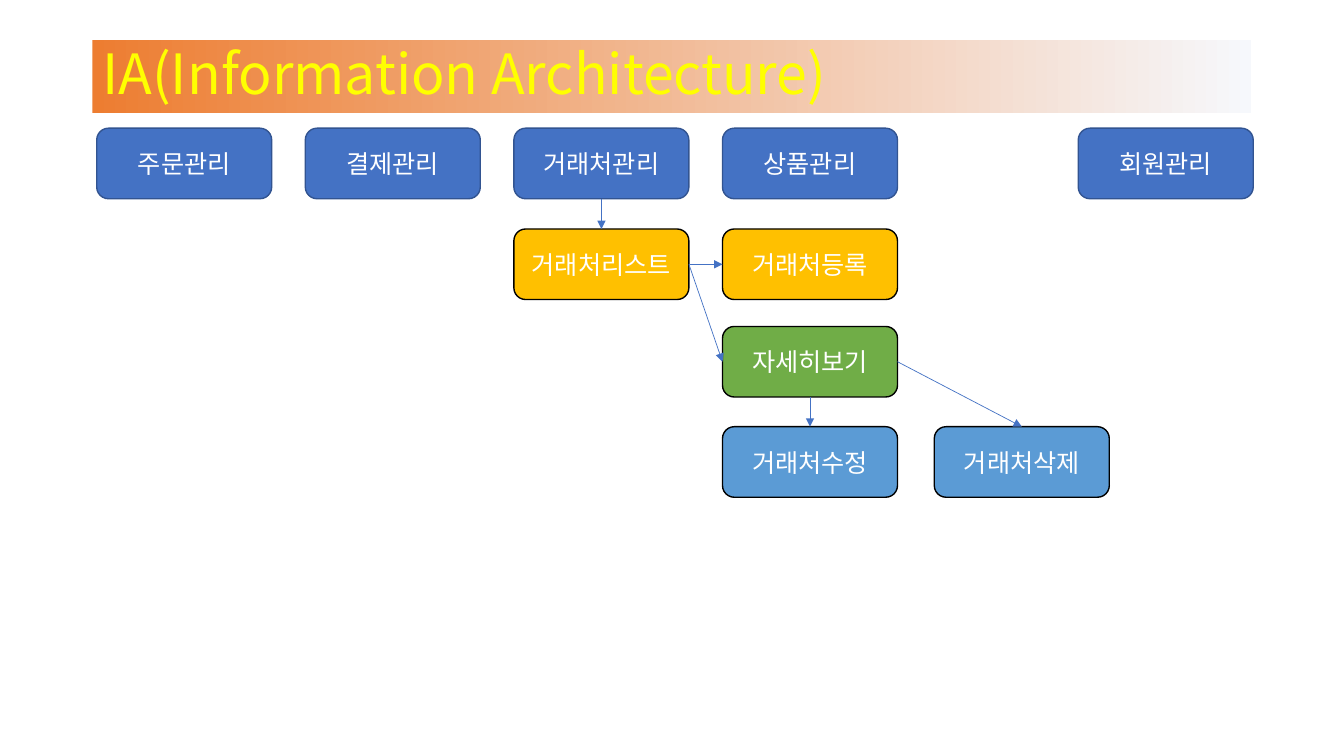
from dataclasses import dataclass

from lxml import etree
from pptx import Presentation
from pptx.dml.color import RGBColor
from pptx.enum.shapes import MSO_CONNECTOR, MSO_SHAPE
from pptx.enum.text import MSO_ANCHOR, PP_ALIGN
from pptx.oxml.ns import qn
from pptx.shapes.autoshape import Shape
from pptx.slide import Slide
from pptx.util import Pt

RECT, ROUND = MSO_SHAPE.RECTANGLE, MSO_SHAPE.ROUNDED_RECTANGLE
LINE = MSO_CONNECTOR.STRAIGHT
LEFT, CENTER = PP_ALIGN.LEFT, PP_ALIGN.CENTER
MIDDLE = MSO_ANCHOR.MIDDLE
TOP_SIDE, LEFT_SIDE, BOTTOM_SIDE, RIGHT_SIDE = range(4)

FONT = "Noto Sans CJK KR"
COLORS = {
    "menu": "4472C4", "edge": "325491", "list": "FFC000", "view": "70AD47",
    "edit": "5B9BD5", "black": "000000", "white": "FFFFFF",
    "title": "FFFF00", "start": "ED7D31", "end": "F6F8FC",
}
BOX_W, BOX_H = 125, 50.4
COLS = [69.1 + 149 * i for i in range(4)]
DROP_X, USER_X = 667.4, 770.2
MENU_Y, LIST_Y, VIEW_Y, EDIT_Y = 91.6, 163.6, 233.2, 304.8


@dataclass
class Box:
    """A rounded node of the site map."""
    text: str
    left: float
    top: float
    fill: str
    edge: str = "black"


@dataclass
class Link:
    """An arrow from a side of one node to a side of another."""
    tail: str
    out: int
    head: str
    into: int


MENUS = ["주문관리", "결제관리", "거래처관리", "상품관리", "회원관리"]
BOXES = [Box(text, left, MENU_Y, "menu", "edge")
         for text, left in zip(MENUS, COLS + [USER_X])] + [
    Box("거래처리스트", COLS[2], LIST_Y, "list"),
    Box("거래처등록", COLS[3], LIST_Y, "list"),
    Box("자세히보기", COLS[3], VIEW_Y, "view"),
    Box("거래처수정", COLS[3], EDIT_Y, "edit"),
    Box("거래처삭제", DROP_X, EDIT_Y, "edit"),
]
LINKS = [
    Link("거래처관리", BOTTOM_SIDE, "거래처리스트", TOP_SIDE),
    Link("거래처리스트", RIGHT_SIDE, "거래처등록", LEFT_SIDE),
    Link("거래처리스트", RIGHT_SIDE, "자세히보기", LEFT_SIDE),
    Link("자세히보기", BOTTOM_SIDE, "거래처수정", TOP_SIDE),
    Link("자세히보기", RIGHT_SIDE, "거래처삭제", TOP_SIDE),
]


def rgb(name: str) -> RGBColor:
    """Look up a named colour."""
    return RGBColor.from_string(COLORS[name])


def write(shape: Shape, text: str, *, size: float = 18, color: str = "white",
          align: PP_ALIGN = CENTER, space: float = 1) -> None:
    """Put one formatted paragraph in a shape."""
    frame = shape.text_frame
    frame.word_wrap = True
    frame.vertical_anchor = MIDDLE
    para = frame.paragraphs[0]
    para.alignment, para.line_spacing = align, space
    run = para.add_run()
    run.text = text
    run.font.size, run.font.name = Pt(size), FONT
    run.font.color.rgb = rgb(color)
    etree.SubElement(run.font._element, qn("a:ea"), typeface=FONT)


def draw_title(slide: Slide) -> None:
    """Draw the title on its fading band."""
    band = slide.shapes.add_shape(RECT, Pt(66), Pt(28.8), Pt(828), Pt(52))
    band.shadow.inherit = False
    band.line.fill.background()
    band.fill.gradient()
    band.fill.gradient_angle = 0
    for stop, name in zip(band.fill.gradient_stops, ("start", "end")):
        stop.color.rgb = rgb(name)
    write(band, "IA(Information Architecture)", size=39.6, color="title",
          align=LEFT, space=0.9)


def draw_box(slide: Slide, box: Box) -> Shape:
    """Draw one node and return its shape."""
    shape = slide.shapes.add_shape(
        ROUND, Pt(box.left), Pt(box.top), Pt(BOX_W), Pt(BOX_H))
    shape.shadow.inherit = False
    shape.fill.solid()
    shape.fill.fore_color.rgb = rgb(box.fill)
    shape.line.color.rgb = rgb(box.edge)
    shape.line.width = Pt(1)
    write(shape, box.text)
    return shape


def draw_link(slide: Slide, link: Link, nodes: dict[str, Shape]) -> None:
    """Join two nodes with an arrow."""
    arrow = slide.shapes.add_connector(LINE, 0, 0, 0, 0)
    arrow.begin_connect(nodes[link.tail], link.out)
    arrow.end_connect(nodes[link.head], link.into)
    arrow.line.color.rgb = rgb("menu")
    arrow.line.width = Pt(0.5)
    etree.SubElement(arrow.line._get_or_add_ln(), qn("a:tailEnd"),
                     type="triangle")
    etree.SubElement(arrow._element.spPr, qn("a:effectLst"))


def main() -> None:
    """Build and save the slide."""
    deck = Presentation()
    deck.slide_width, deck.slide_height = Pt(960), Pt(540)
    slide = deck.slides.add_slide(deck.slide_layouts[6])
    draw_title(slide)
    nodes = {box.text: draw_box(slide, box) for box in BOXES}
    for link in LINKS:
        draw_link(slide, link, nodes)
    deck.save("out.pptx")


main()
